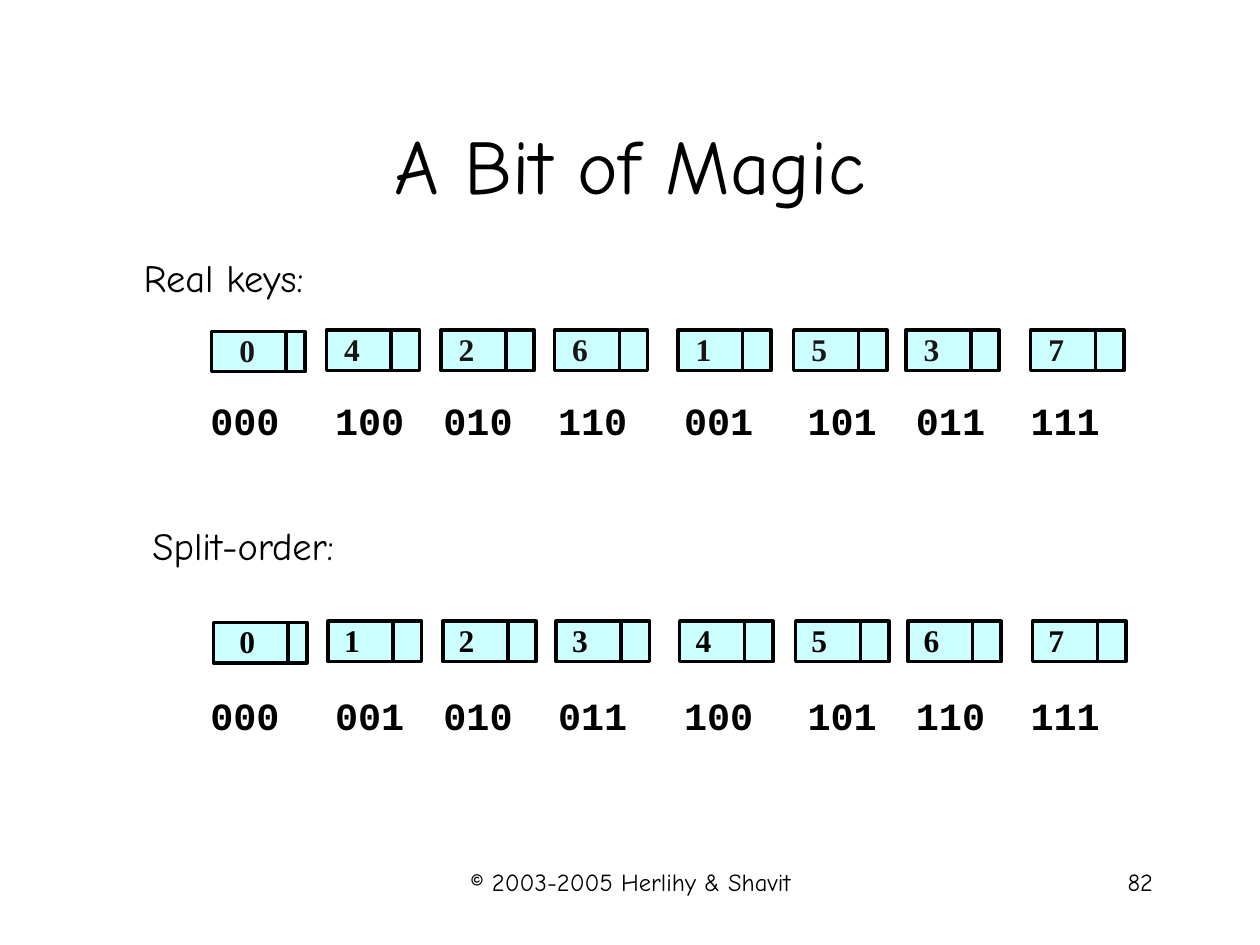
from dataclasses import dataclass

from lxml.etree import SubElement
from pptx import Presentation
from pptx.dml.color import RGBColor
from pptx.enum.shapes import MSO_CONNECTOR, MSO_SHAPE
from pptx.enum.text import MSO_ANCHOR, MSO_AUTO_SIZE, PP_ALIGN
from pptx.oxml.ns import qn
from pptx.util import Inches, Pt


@dataclass(frozen=True)
class Theme:
    """Colours, fonts and type sizes of the slide."""
    black: str = "000000"
    ink: str = "181614"
    dark: str = "020202"
    fill: str = "CCFFFF"
    hand: str = "Comic Neue"
    mono: str = "Courier New"
    serif: str = "Times New Roman"
    title: int = 44
    label: int = 22
    digit: int = 18
    foot: int = 14
    line: float = 1.98


class Board:
    """A slide on a grid of 100 columns by 75 rows."""

    def __init__(self, deck, theme):
        """Add a blank slide and work out the grid step."""
        self.theme = theme
        self.slide = deck.slides.add_slide(deck.slide_layouts[6])
        self.col = deck.slide_width / 100
        self.row = deck.slide_height / 75

    def place(self, x, y, w, h):
        """Turn columns and rows into lengths."""
        return (round(x * self.col), round(y * self.row),
                round(w * self.col), round(h * self.row))

    def text(self, words, area, size, font, tint, bold=False,
             align=PP_ALIGN.LEFT, wrap=False, anchor=MSO_ANCHOR.TOP):
        """Write one run of text in a box."""
        box = self.slide.shapes.add_textbox(*self.place(*area))
        frame = box.text_frame
        frame.word_wrap = wrap
        frame.auto_size = (MSO_AUTO_SIZE.NONE if wrap
                           else MSO_AUTO_SIZE.SHAPE_TO_FIT_TEXT)
        frame.vertical_anchor = anchor
        frame.margin_left = frame.margin_right = Inches(0.1 if wrap else 0.09)
        para = frame.paragraphs[0]
        para.alignment = align
        run = para.add_run()
        run.text = words
        run.font.size, run.font.name, run.font.bold = Pt(size), font, bold
        run.font.color.rgb = RGBColor.from_string(tint)

    def stroke(self, line):
        """Give a line the common colour and width."""
        line.color.rgb = RGBColor.from_string(self.theme.black)
        line.width = Pt(self.theme.line)

    def node(self, x, y, split):
        """Draw a list node: a box divided into key and link."""
        width, height = 7.4, 3.2
        box = self.slide.shapes.add_shape(
            MSO_SHAPE.ROUNDED_RECTANGLE, *self.place(x, y, width, height))
        box.adjustments[0] = 0
        box.shadow.inherit = False
        box.fill.solid()
        box.fill.fore_color.rgb = RGBColor.from_string(self.theme.fill)
        self.stroke(box.line)
        left, top, _, tall = self.place(x + split, y + 0.1, 0, height - 0.1)
        bar = self.slide.shapes.add_connector(
            MSO_CONNECTOR.STRAIGHT, left, top, left, top + tall)
        self.stroke(bar.line)
        SubElement(bar.element.spPr, qn("a:effectLst"))

    def keys(self, order, x, y, low, tint):
        """Draw a row of nodes with their keys and binary codes."""
        theme = self.theme
        nodes = (16.8, 25.9, 35, 44, 53.8, 63, 71.9, 81.8)
        codes = (15.8, 25.7, 34.3, 43.4, 53.4, 63.2, 71.8, 80.9)
        for spot, (key, node, code) in enumerate(zip(order, nodes, codes)):
            first = spot == 0
            drop = 0.1 if first else 0
            self.node(node + x, y + drop, 5.9 if first else 5.15)
            self.text(str(key), (node + (1.3 if first else 0.5),
                                 y - 0.5 + drop, 3.1, 3.9),
                      theme.digit, theme.serif, tint, True)
            self.text(f"{key:03b}", (code, low, 7.3, 4.6),
                      theme.label, theme.mono, theme.black, True)


def main():
    """Build and save the slide."""
    deck = Presentation()
    deck.slide_width, deck.slide_height = Inches(10), Inches(7.5)
    theme = Theme()
    board = Board(deck, theme)
    board.text("A Bit of Magic", (7.5, 6.7, 85, 12.5), theme.title,
               theme.hand, theme.black, align=PP_ALIGN.CENTER, wrap=True,
               anchor=MSO_ANCHOR.MIDDLE)
    board.text("Real keys:", (10.5, 19.7, 14.6, 4.6), theme.label,
               theme.hand, theme.black)
    board.keys((0, 4, 2, 6, 1, 5, 3, 7), 0, 26.2, 31, theme.ink)
    board.text("Split-order:", (11.2, 40.9, 16.3, 4.6), theme.label,
               theme.hand, theme.dark)
    board.keys(range(8), 0.15, 49.3, 54.4, theme.dark)
    board.text("© 2003-2005 Herlihy & Shavit", (34.2, 68.3, 31.7, 5),
               theme.foot, theme.hand, theme.black,
               align=PP_ALIGN.CENTER, wrap=True)
    board.text("82", (71.7, 68.3, 20.8, 5), theme.foot, theme.hand,
               theme.black, align=PP_ALIGN.RIGHT, wrap=True)
    deck.save("out.pptx")


if __name__ == "__main__":
    main()
